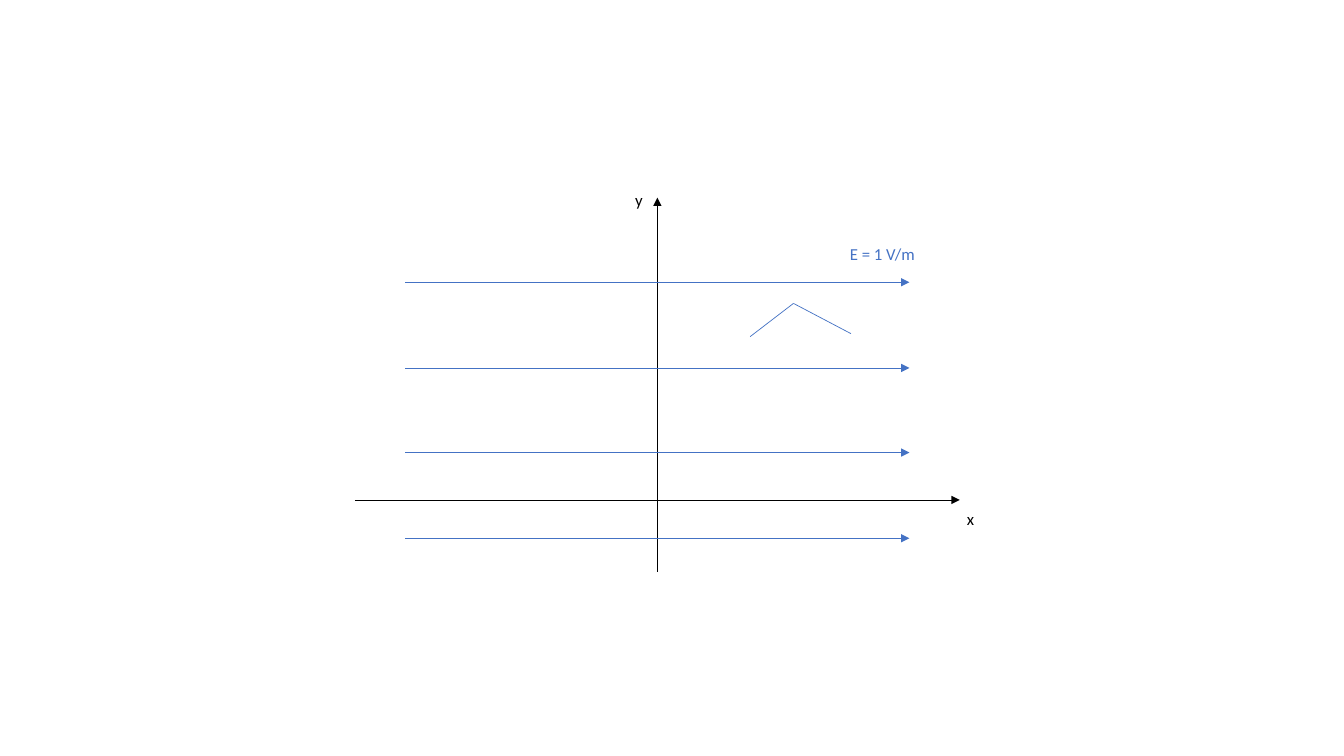
from dataclasses import dataclass

from lxml import etree
from pptx import Presentation
from pptx.dml.color import RGBColor
from pptx.enum.shapes import MSO_CONNECTOR
from pptx.enum.text import MSO_AUTO_SIZE
from pptx.oxml.ns import qn
from pptx.slide import Slide
from pptx.util import Emu, Pt

STRAIGHT = MSO_CONNECTOR.STRAIGHT
FIT_SHAPE = MSO_AUTO_SIZE.SHAPE_TO_FIT_TEXT

BLACK = RGBColor(0x00, 0x00, 0x00)
BLUE = RGBColor(0x44, 0x72, 0xC4)

EMU_PER_PX = 9144
SLIDE_WIDTH, SLIDE_HEIGHT = 1333, 750
BLANK_LAYOUT = 6
FONT = "Calibri"
FONT_SIZE = Pt(12)
LINE_WIDTH = Pt(0.5)
LABEL_HEIGHT = 30

FIELD_LEFT, FIELD_RIGHT = 402, 902
FIELD_TOP, FIELD_BOTTOM = 280, 534
FIELD_COUNT = 4


@dataclass(frozen=True)
class Line:
    x1: int
    y1: int
    x2: int
    y2: int
    color: RGBColor
    arrow: bool = True


@dataclass(frozen=True)
class Label:
    text: str
    left: int
    top: int
    width: int
    color: RGBColor


AXES = [
    Line(352, 496, 952, 496, BLACK),
    Line(652, 567, 652, 196, BLACK),
]
LABELS = [
    Label("x", 949, 500, 32, BLACK),
    Label("y", 620, 183, 32, BLACK),
    Label("E = 1 V/m", 833, 237, 108, BLUE),
]
PEAK = [
    Line(744, 334, 787, 301, BLUE, arrow=False),
    Line(787, 301, 844, 331, BLUE, arrow=False),
]


def px(length: int) -> Emu:
    return Emu(length * EMU_PER_PX)


def field_lines() -> list[Line]:
    step = (FIELD_BOTTOM - FIELD_TOP) / (FIELD_COUNT - 1)
    heights = [round(FIELD_TOP + row * step) for row in range(FIELD_COUNT)]
    return [Line(FIELD_LEFT, y, FIELD_RIGHT, y, BLUE) for y in heights]


def draw_line(slide: Slide, line: Line) -> None:
    connector = slide.shapes.add_connector(
        STRAIGHT, px(line.x1), px(line.y1), px(line.x2), px(line.y2)
    )
    connector.line.color.rgb = line.color
    connector.line.width = LINE_WIDTH
    properties = connector._element.spPr
    if line.arrow:
        outline = properties.find(qn("a:ln"))
        etree.SubElement(outline, qn("a:tailEnd"), type="triangle")
    etree.SubElement(properties, qn("a:effectLst"))


def draw_label(slide: Slide, label: Label) -> None:
    box = slide.shapes.add_textbox(
        px(label.left), px(label.top), px(label.width), px(LABEL_HEIGHT)
    )
    frame = box.text_frame
    frame.text = label.text
    frame.word_wrap = True
    frame.auto_size = FIT_SHAPE
    font = frame.paragraphs[0].runs[0].font
    font.name = FONT
    font.size = FONT_SIZE
    font.color.rgb = label.color


def main() -> None:
    presentation = Presentation()
    presentation.slide_width = px(SLIDE_WIDTH)
    presentation.slide_height = px(SLIDE_HEIGHT)
    slide = presentation.slides.add_slide(presentation.slide_layouts[BLANK_LAYOUT])
    for line in AXES + field_lines():
        draw_line(slide, line)
    for label in LABELS:
        draw_label(slide, label)
    for line in PEAK:
        draw_line(slide, line)
    presentation.save("out.pptx")


if __name__ == "__main__":
    main()
